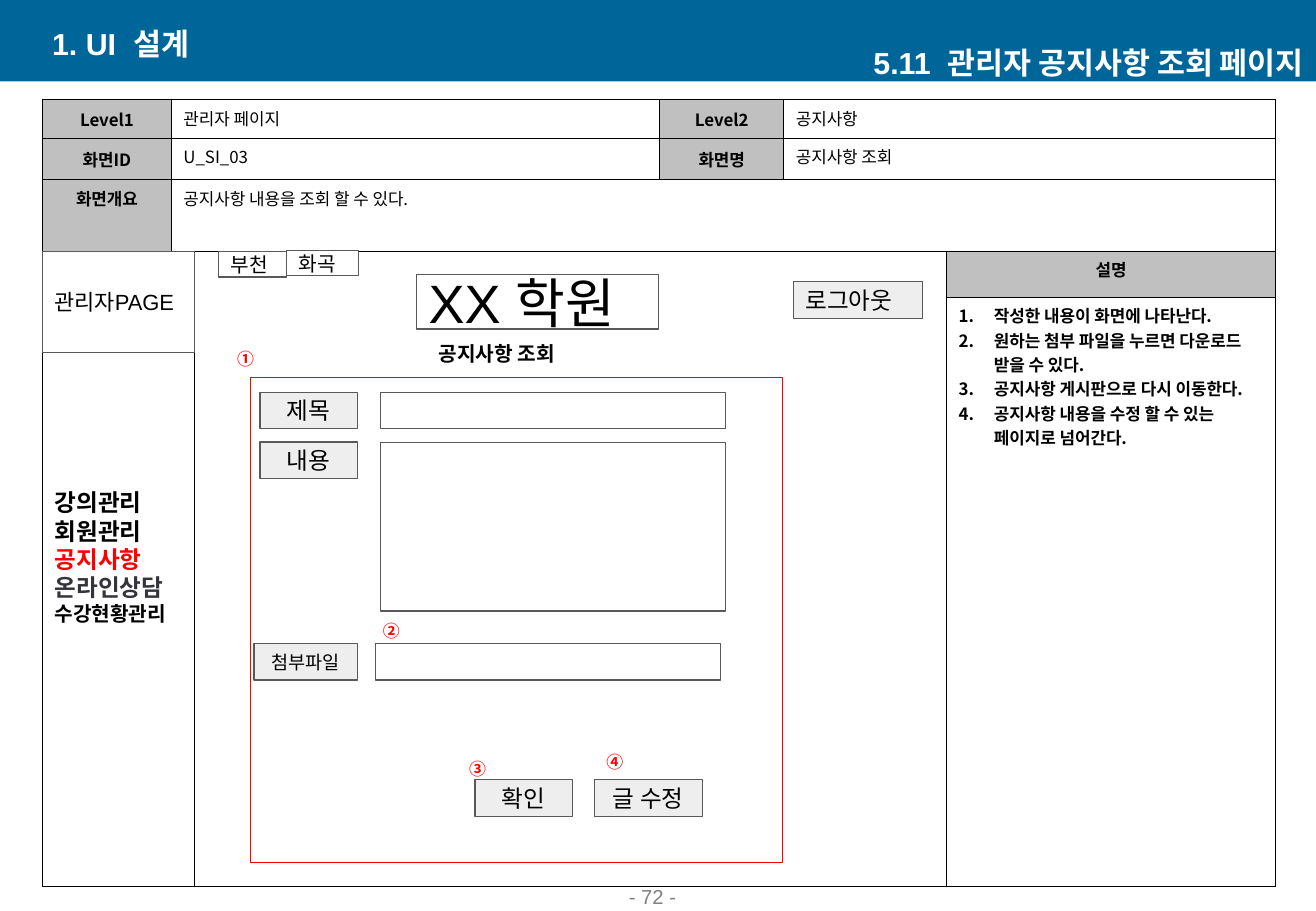
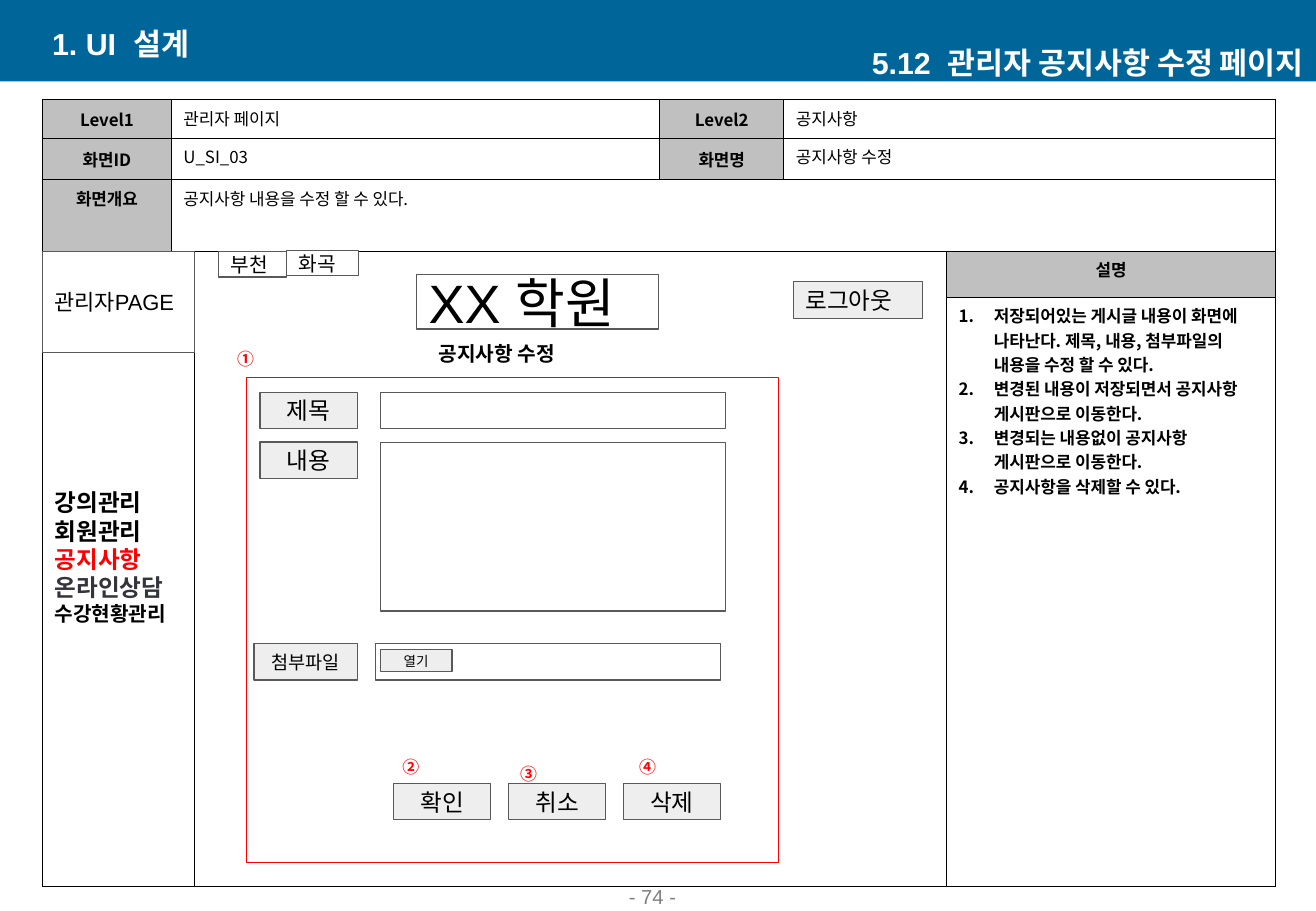
from dataclasses import dataclass

from lxml.etree import SubElement
from pptx import Presentation
from pptx.dml.color import RGBColor
from pptx.enum.shapes import MSO_SHAPE as Preset
from pptx.enum.text import MSO_ANCHOR as Anchor, MSO_AUTO_SIZE as AutoSize, PP_ALIGN as Align
from pptx.oxml.ns import qn
from pptx.util import Inches, Pt

COLORS = {
    "band": "006699", "white": "FFFFFF", "black": "000000", "red": "FF0000",
    "header": "C0C0C0", "button": "EEEEEE", "outline": "595959",
    "page": "808080", "slate": "34343D",
}
LATIN, KOREAN = "Arial", "Noto Sans CJK KR"

# All lengths below are counted in grid cells of a tenth of an inch.
SLIDE_COLUMNS, SLIDE_ROWS = 108.3, 75
TABLE_LEFT, TABLE_TOP = 3.5, 8.2
TABLE_COLUMNS = (10.6, 40.2, 10.2, 13.4, 27.1)
TABLE_ROWS = (3.2, 3.4, 5.9, 3.8, 48.5)
TABLE_MERGES = ((0, 3, 0, 4), (1, 3, 1, 4), (2, 1, 2, 4), (3, 0, 4, 3))
BUTTON_WIDTH, ROW_HEIGHT, FIELD_WIDTH = 8, 3, 28.4


def cells(count: float) -> int:
    return Inches(count / 10)


def rgb(name: str) -> RGBColor:
    return RGBColor.from_string(COLORS[name])


@dataclass(frozen=True)
class Area:
    left: float
    top: float
    width: float
    height: float

    def emu(self) -> tuple:
        return tuple(map(cells, (self.left, self.top, self.width, self.height)))


@dataclass(frozen=True)
class Line:
    """One paragraph and its look."""
    text: str
    size: float = 14
    color: str = "black"
    bold: bool = False
    font: str = LATIN
    align: Align = Align.LEFT


@dataclass(frozen=True)
class Box:
    area: Area
    lines: tuple = ()
    fill: str | None = "white"
    outline: str | None = "outline"
    bottom_inset: float = 1


@dataclass(frozen=True)
class Mark:
    symbol: str
    left: float
    top: float


@dataclass(frozen=True)
class Screen:
    number: str
    action: str
    page: int
    form_left: float
    notes: tuple
    buttons: tuple
    marks: tuple


def button(text: str, left: float, top: float, width: float = BUTTON_WIDTH,
           height: float = ROW_HEIGHT, size: float = 14) -> Box:
    return Box(Area(left, top, width, height),
               (Line(text, size, align=Align.CENTER),), "button")


def field(left: float, top: float, height: float = ROW_HEIGHT) -> Box:
    return Box(Area(left, top, FIELD_WIDTH, height))


FRAME = (
    Box(Area(3.5, 20.9, 12.5, 52.1), (
        Line("강의관리", bold=True),
        Line("회원관리", bold=True),
        Line("공지사항", color="red", bold=True),
        Line("온라인상담", color="slate", bold=True),
        Line("수강현황관리", 12, bold=True),
    ), outline="black", bottom_inset=3.2),
    Box(Area(3.5, 20.7, 12.5, 8.3), (Line("관리자PAGE", 13),)),
    Box(Area(34.3, 22.6, 19.9, 4.5), (Line("XX 학원", 32),)),
    Box(Area(65.3, 23.2, 10.6, ROW_HEIGHT), (Line("로그아웃"),), "button"),
    Box(Area(18, 20.7, 5.6, 2.1), (Line("부천", 12),)),
    Box(Area(23.6, 20.6, 5.9, 2.1), (Line("화곡", 12),)),
)
FORM = (
    button("제목", 21.4, 32.3),
    button("내용", 21.4, 36.4),
    button("첨부파일", 20.9, 53, 8.5, size=11),
    field(31.3, 32.3),
    field(31.3, 36.4, 13.9),
    field(30.9, 53),
)
SCREENS = (
    Screen(
        "5.11", "조회", 72, 20.6,
        ("작성한 내용이 화면에 나타난다.",
         "원하는 첨부 파일을 누르면 다운로드 받을 수 있다.",
         "공지사항 게시판으로 다시 이동한다.",
         "공지사항 내용을 수정 할 수 있는 페이지로 넘어간다."),
        (button("확인", 39.1, 64.2), button("글 수정", 48.9, 64.2, 8.9)),
        (Mark("②", 30.5, 50.6), Mark("③", 37.6, 62), Mark("④", 48.9, 61.4)),
    ),
    Screen(
        "5.12", "수정", 74, 20.3,
        ("저장되어있는 게시글 내용이 화면에 나타난다. 제목, 내용, 첨부파일의 내용을 수정 할 수 있다.",
         "변경된 내용이 저장되면서 공지사항 게시판으로 이동한다.",
         "변경되는 내용없이 공지사항 게시판으로 이동한다.",
         "공지사항을 삭제할 수 있다."),
        (button("열기", 31.3, 53.5, 5.9, 1.8, 8),
         *(button(text, 32.4 + 9.45 * index, 64.5)
           for index, text in enumerate(("확인", "취소", "삭제")))),
        (Mark("②", 32.1, 61.8), Mark("③", 41.8, 62.4), Mark("④", 51.6, 61.8)),
    ),
)


def write(frame, lines: tuple, numbered: bool = False) -> None:
    for index, line in enumerate(lines):
        paragraph = frame.add_paragraph() if index else frame.paragraphs[0]
        paragraph.text = line.text
        paragraph.alignment = line.align
        if numbered:
            properties = paragraph._p.get_or_add_pPr()
            properties.set("marL", str(cells(2.9)))
            properties.set("indent", str(-cells(2.9)))
            SubElement(properties, qn("a:buFont"), typeface="+mj-lt")
            SubElement(properties, qn("a:buAutoNum"), type="arabicPeriod")
        font = paragraph.font
        font.name, font.size, font.bold = line.font, Pt(line.size), line.bold
        font.color.rgb = rgb(line.color)


def format_frame(frame, anchor: Anchor, side: float = 1, top: float = 0.5,
                 bottom: float = 0.5) -> None:
    frame.word_wrap = True
    frame.auto_size = AutoSize.NONE
    frame.vertical_anchor = anchor
    frame.margin_left = frame.margin_right = cells(side)
    frame.margin_top, frame.margin_bottom = cells(top), cells(bottom)


def add_box(slide, box: Box):
    shape = slide.shapes.add_shape(Preset.RECTANGLE, *box.area.emu())
    shape.shadow.inherit = False
    if box.fill:
        shape.fill.solid()
        shape.fill.fore_color.rgb = rgb(box.fill)
    else:
        shape.fill.background()
    if box.outline:
        shape.line.color.rgb = rgb(box.outline)
        shape.line.width = Pt(0.75)
    else:
        shape.line.fill.background()
    format_frame(shape.text_frame, Anchor.MIDDLE, top=1, bottom=box.bottom_inset)
    write(shape.text_frame, box.lines)
    return shape


def add_text(slide, area: Area, line: Line, anchor: Anchor = Anchor.TOP,
             side: float = 1) -> None:
    frame = slide.shapes.add_textbox(*area.emu()).text_frame
    format_frame(frame, anchor, side)
    write(frame, (line,))


def add_band(slide, layout) -> None:
    """Draw the title band once and hand it to the shared layout."""
    band = add_box(slide, Box(Area(0, 0, SLIDE_COLUMNS, 6.7), (), "band", None))
    layout.shapes.element.insert(2, band.element)


def format_cell(cell, fill: str | None) -> None:
    properties = cell._tc.get_or_add_tcPr()
    for side in ("lnL", "lnR", "lnT", "lnB"):
        border = SubElement(properties, qn(f"a:{side}"), w=str(Pt(1)))
        solid = SubElement(border, qn("a:solidFill"))
        SubElement(solid, qn("a:srgbClr"), val=COLORS["black"])
    if fill:
        cell.fill.solid()
        cell.fill.fore_color.rgb = rgb(fill)
    else:
        cell.fill.background()
    cell.margin_left = cell.margin_right = cells(1)
    cell.margin_top = cell.margin_bottom = cells(0.5)


def add_overview(slide, screen: Screen) -> None:
    """Add the table that frames the screen and holds its notes."""
    area = Area(TABLE_LEFT, TABLE_TOP, sum(TABLE_COLUMNS), sum(TABLE_ROWS))
    table = slide.shapes.add_table(len(TABLE_ROWS), len(TABLE_COLUMNS), *area.emu()).table
    table.first_row = table.horz_banding = False
    for column, width in zip(table.columns, TABLE_COLUMNS):
        column.width = cells(width)
    for row, height in zip(table.rows, TABLE_ROWS):
        row.height = cells(height)
    headers = {(0, 0): "Level1", (0, 2): "Level2", (1, 0): "화면ID",
               (1, 2): "화면명", (2, 0): "화면개요", (3, 4): "설명"}
    values = {(0, 1): "관리자 페이지", (0, 3): "공지사항", (1, 1): "U_SI_03",
              (1, 3): f"공지사항 {screen.action}",
              (2, 1): f"공지사항 내용을 {screen.action} 할 수 있다."}
    notes_at = (len(TABLE_ROWS) - 1, len(TABLE_COLUMNS) - 1)
    for row in range(len(TABLE_ROWS)):
        for column in range(len(TABLE_COLUMNS)):
            cell, position = table.cell(row, column), (row, column)
            is_header = position in headers
            format_cell(cell, "header" if is_header else None)
            if is_header and row < 2:
                cell.vertical_anchor = Anchor.MIDDLE
            texts = (screen.notes if position == notes_at
                     else (headers.get(position, values.get(position, "")),))
            align = Align.CENTER if is_header else Align.LEFT
            bold = is_header or position == notes_at
            write(cell.text_frame,
                  tuple(Line(text, 10, "black", bold, KOREAN, align) for text in texts),
                  numbered=position == notes_at)
    for top, left, bottom, right in TABLE_MERGES:
        table.cell(top, left).merge(table.cell(bottom, right))


def add_screen(slide, screen: Screen) -> None:
    title = slide.shapes.title
    title.left, title.top, title.width, title.height = Area(64.5, 3.5, 43.8, 3.3).emu()
    format_frame(title.text_frame, Anchor.MIDDLE)
    write(title.text_frame, (Line(f"{screen.number}  관리자 공지사항 {screen.action} 페이지",
                                  18, "white", True, align=Align.RIGHT),))
    add_text(slide, Area(3.3, 1.9, 43.8, 3.3),
             Line("1. UI  설계", 18, "white", True), Anchor.MIDDLE)
    add_text(slide, Area(42.4, 73, 22.6, 2.3),
             Line(f"- {screen.page} -", 12, "page", align=Align.CENTER), Anchor.BOTTOM)
    add_overview(slide, screen)
    form_outline = Box(Area(screen.form_left, 31.1, 43.8, 39.9), (), None, "red")
    for box in (form_outline, *FRAME, *FORM, *screen.buttons):
        add_box(slide, box)
    add_text(slide, Area(35.1, 27.6, 18.3, 3),
             Line(f"공지사항 {screen.action}", 12, bold=True))
    for mark in (Mark("①", 18.5, 28.2), *screen.marks):
        add_text(slide, Area(mark.left, mark.top, 3.4, 2.7),
                 Line(mark.symbol, 10, "red", True, KOREAN, Align.CENTER), side=0)


def main() -> None:
    presentation = Presentation()
    presentation.slide_width = cells(SLIDE_COLUMNS)
    presentation.slide_height = cells(SLIDE_ROWS)
    layout = presentation.slide_layouts.get_by_name("Title Only")
    for index, screen in enumerate(SCREENS):
        slide = presentation.slides.add_slide(layout)
        if index == 0:
            add_band(slide, layout)
        add_screen(slide, screen)
    presentation.save("out.pptx")


if __name__ == "__main__":
    main()
